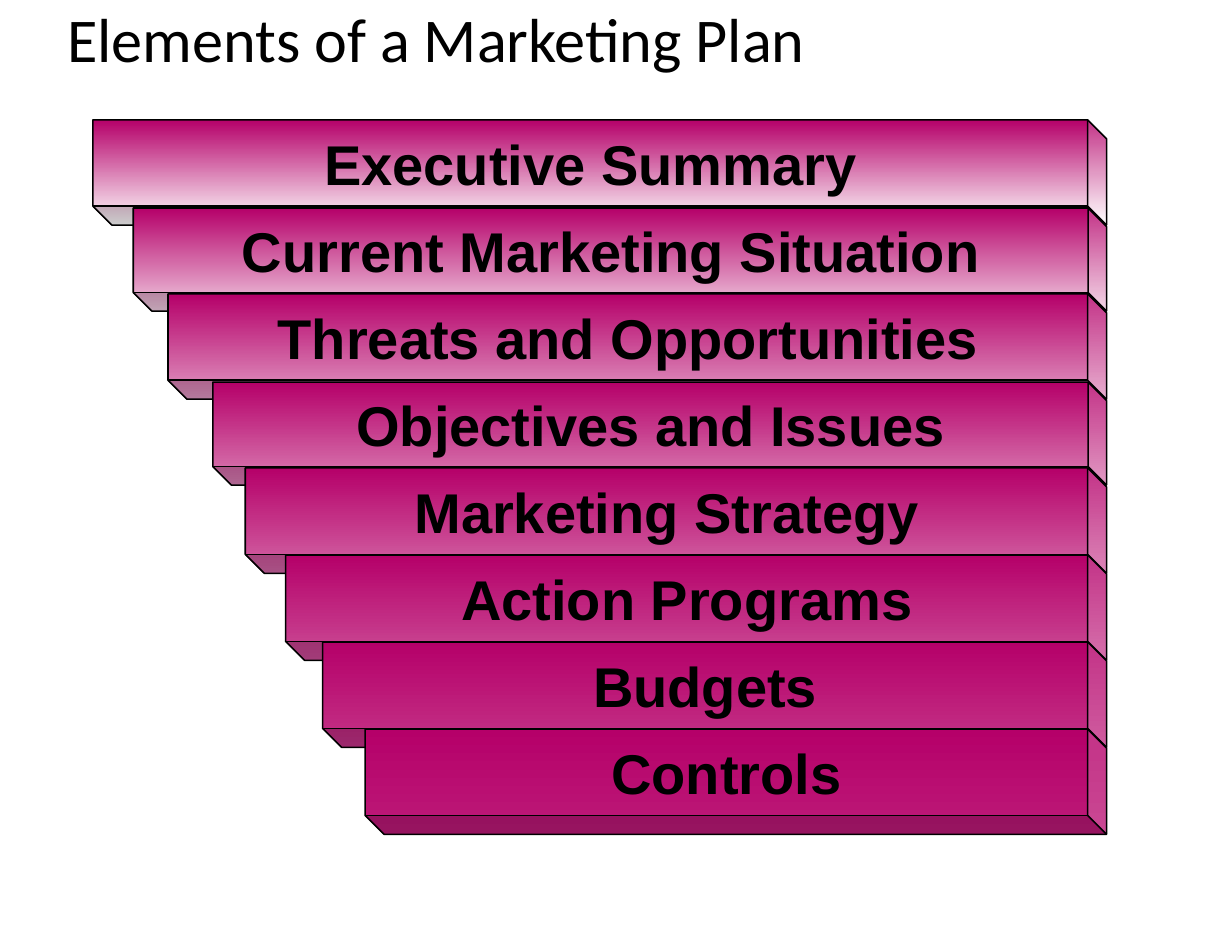
"""Build the slide listing the elements of a marketing plan as stepped blocks."""
import pptx
import pptx.dml.color
import pptx.enum.shapes
import pptx.enum.text
import pptx.util

Inches = pptx.util.Inches
Pt = pptx.util.Pt
RGBColor = pptx.dml.color.RGBColor

BLACK = RGBColor(0x00, 0x00, 0x00)
MAGENTA = RGBColor(0xB5, 0x00, 0x69)

ELEMENTS = [
    ("Executive Summary", 9.05, 0.94, RGBColor(0xFF, 0xFF, 0xFF)),
    ("Current Marketing Situation", 8.69, 0.92, RGBColor(0xF0, 0xCC, 0xE1)),
    ("Threats and Opportunities", 8.38, 0.94, RGBColor(0xE1, 0x99, 0xC3)),
    ("Objectives and Issues", 7.98, 0.92, RGBColor(0xDA, 0x7F, 0xB4)),
    ("Marketing Strategy", 7.69, 0.94, RGBColor(0xD3, 0x66, 0xA5)),
    ("Action Programs", 7.33, 0.94, RGBColor(0xCB, 0x4C, 0x96)),
    ("Budgets", 7.0, 0.94, RGBColor(0xC4, 0x33, 0x87)),
    ("Controls", 6.62, 0.94, RGBColor(0xBD, 0x1A, 0x78)),
]
RIGHT_EDGE = 9.88
FIRST_CENTER = 1.54
LAST_CENTER = 6.98
PITCH = (LAST_CENTER - FIRST_CENTER) / (len(ELEMENTS) - 1)

deck = pptx.Presentation()
deck.slide_width = Inches(11)
deck.slide_height = Inches(8.5)
page = deck.slides.add_slide(deck.slide_layouts[6])

title = page.shapes.add_textbox(Inches(0.5), Inches(0.02), Inches(7.82), Inches(0.71))
title.text_frame.word_wrap = True
title.text_frame.vertical_anchor = pptx.enum.text.MSO_ANCHOR.MIDDLE
para = title.text_frame.paragraphs[0]
para.text = "Elements of a Marketing Plan"
para.line_spacing = 0.9
para.font.name = "Calibri"
para.font.size = Pt(40)
para.font.color.rgb = BLACK

for row, (label, length, thickness, end_color) in enumerate(ELEMENTS):
    center_x = RIGHT_EDGE - length / 2
    center_y = FIRST_CENTER + row * PITCH
    block = page.shapes.add_shape(
        pptx.enum.shapes.MSO_SHAPE.CUBE,
        Inches(center_x - thickness / 2), Inches(center_y - length / 2),
        Inches(thickness), Inches(length))
    block.rotation = 90
    block.adjustments[0] = 0.18
    block.shadow.inherit = False
    block.line.color.rgb = BLACK
    block.line.width = Pt(1)

    block.fill.gradient()
    block.fill.gradient_angle = 270
    for stop, color in zip(block.fill.gradient_stops, (MAGENTA, end_color)):
        stop.color.rgb = color
    gradient = block.element.spPr.find(pptx.oxml.ns.qn("a:gradFill"))
    gradient.set("rotWithShape", "0")

    frame = block.text_frame
    frame.word_wrap = False
    frame.vertical_anchor = pptx.enum.text.MSO_ANCHOR.MIDDLE
    frame.margin_left = frame.margin_right = Inches(0.05)
    frame.margin_top = frame.margin_bottom = Inches(0.1)
    body = block.element.txBody.bodyPr
    body.set("rot", "10800000")
    body.set("vert", "eaVert")
    body.set("anchorCtr", "1")
    para = frame.paragraphs[0]
    para.text = label
    para.alignment = pptx.enum.text.PP_ALIGN.LEFT
    para.font.name = "Arial"
    para.font.size = Pt(36)
    para.font.bold = True
    para.font.color.rgb = BLACK

deck.save("out.pptx")
